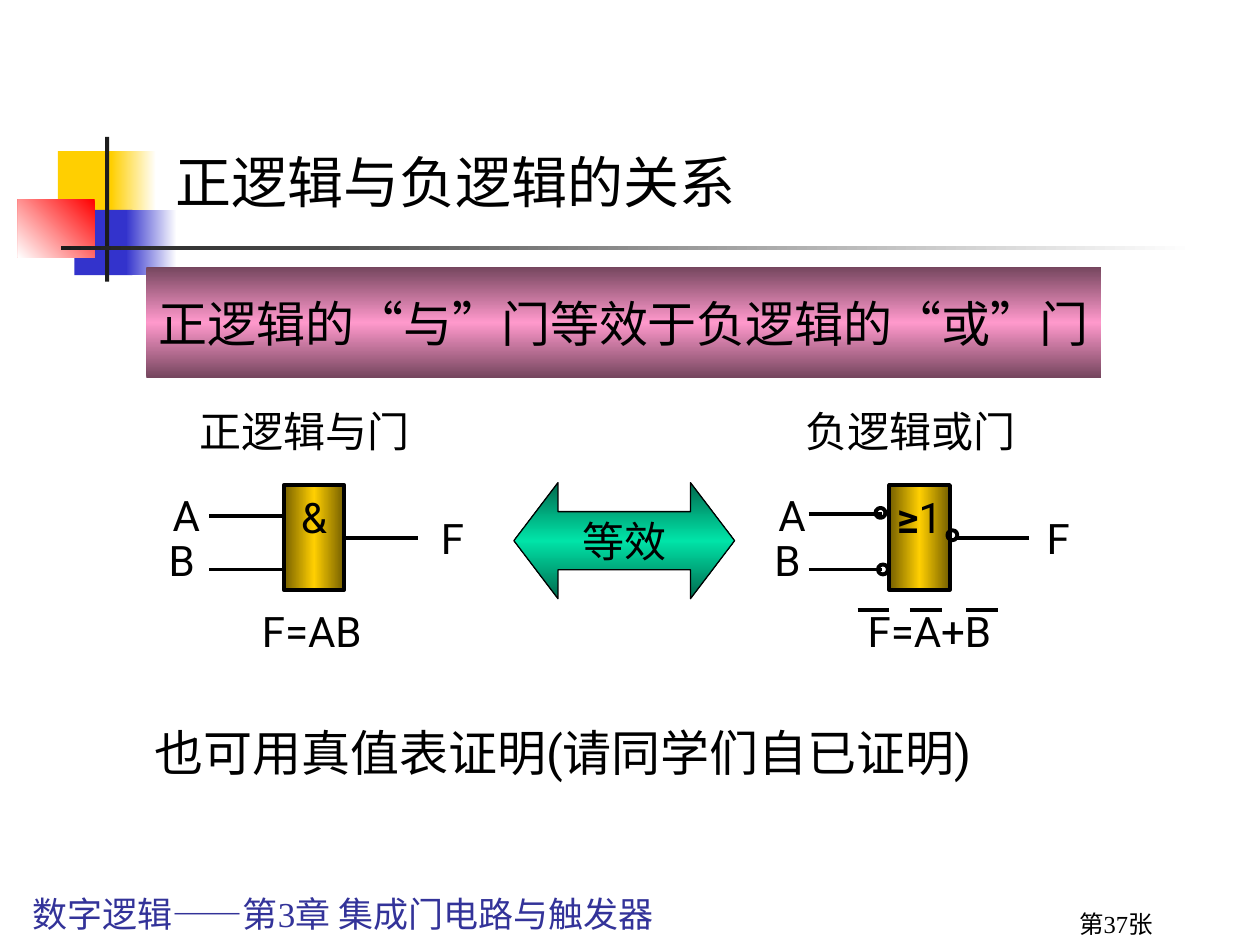
"""Build the slide on how positive and negative logic relate."""
from copy import deepcopy
from pptx import Presentation
from pptx import util as u
from pptx.dml.color import RGBColor
from pptx.enum import shapes as sh, text as tx
from pptx.oxml.ns import qn
from lxml import etree

HUE = {"black": "000000", "white": "FFFFFF", "gold": "FFCF01", "blue": "3333CC",
       "red": "FF0000", "ink": "1C1C1C", "plum": "75465E", "pink": "FF99CC",
       "brown": "755F00", "pine": "00694D", "mint": "00E4A8", "navy": "333399"}
SANS, SERIF = "Roboto", "Times New Roman"
LEFT, MID, RIGHT = tx.PP_ALIGN.LEFT, tx.PP_ALIGN.CENTER, tx.PP_ALIGN.RIGHT
RECT, OVAL = sh.MSO_SHAPE.RECTANGLE, sh.MSO_SHAPE.OVAL

DECOR = [
    ((1.17, 3.05, 1.22, 1.32), ["gold"], 0),
    ((2.24, 3.05, 0.91, 1.32), ["white", "gold"], 180),
    ((1.5, 4.23, 1.17, 1.32), ["blue"], 0),
    ((2.54, 4.23, 1.02, 1.32), ["white", "blue"], 180),
    ((0.36, 4.02, 1.55, 1.17), ["red", "white"], 135),
    ((2.12, 2.76, 0.08, 2.92), ["ink"], 0),
    ((1.23, 4.95, 22.86, 0.09), ["white", "ink"], 180),
]
NOTES = [
    ("正逻辑与负逻辑的关系", (3.28, 2.84, 21.59, 2.01), 32, SANS, "black", LEFT),
    ("也可用真值表证明(请同学们自已证明)", (2.87, 14.43, 17.65, 1.45), 28, SANS, "black", LEFT),
    ("第37张", (18.21, 18.2, 5.28, 0.84), 14, SERIF, "black", RIGHT),
    ("数字逻辑——第3章 集成门电路与触发器", (0.1, 17.86, 13.64, 1.12), 20, SERIF, "navy", MID),
]
BANNER = ("正逻辑的“与”门等效于负逻辑的“或”门", (2.95, 5.38, 19.25, 2.24))
ARROW = ("等效", (10.36, 9.73, 4.45, 2.34))

TOP, WIDE, TALL, ROW = 9.78, 1.22, 2.11, 1.27
NAME, RULE = 5.3, 3.3
PINS = [("A", -2.49, 9.73), ("B", -2.57, 10.64), ("F", 2.92, 10.21)]
PIN = 1.1
GATES = [
    {"x": 5.72, "name": "正逻辑与门", "sign": [("&", False)], "rule": "F=AB",
     "wires": [(-1.5, 10.41), (-1.5, 11.48), (1.22, 10.85)], "dots": [], "bars": []},
    {"x": 17.93, "name": "负逻辑或门", "sign": [("≥", True), ("1", False)], "rule": "F=A+B",
     "wires": [(-1.63, 10.36), (-1.63, 11.48), (1.32, 10.85)],
     "dots": [(-0.28, 10.24), (-0.23, 11.38), (1.17, 10.69)],
     "bars": [-0.64, 0.41, 1.55]},
]
WIRE, DOT, BAR, BAR_Y = 1.49, 0.2, 0.64, 12.29


def rgb(hue):
    return RGBColor.from_string(HUE[hue])


def paint(fill, node, hues, turn):
    if not hues:
        fill.background()
    elif len(hues) == 1:
        fill.solid()
        fill.fore_color.rgb = rgb(hues[0])
    else:
        fill.gradient()
        fill.gradient_angle = (360 - turn) % 360
        stops = node.find(".//" + qn("a:gsLst"))
        for _ in hues[2:]:
            stops.append(deepcopy(stops[0]))
        for i, (stop, hue) in enumerate(zip(fill.gradient_stops, hues)):
            stop.position = i / (len(hues) - 1)
            stop.color.rgb = rgb(hue)


def block(host, kind, box, hues, turn=0, edge=0):
    item = host.add_shape(kind, *map(u.Cm, box))
    item.shadow.inherit = False
    paint(item.fill, item._element.spPr, hues, turn)
    if edge:
        item.line.color.rgb = rgb("black")
        item.line.width = u.Pt(edge)
    else:
        item.line.fill.background()
    return item


def write(item, parts, size=24, font=SANS, hue="black", align=LEFT,
          wrap=False, pad=0.13, anchor=tx.MSO_ANCHOR.TOP):
    frame = item.text_frame
    frame.word_wrap = wrap
    frame.vertical_anchor = anchor
    frame.margin_left = frame.margin_right = u.Cm(0.25)
    frame.margin_top = frame.margin_bottom = u.Cm(pad)
    para = frame.paragraphs[0]
    para.alignment = align
    for words, bold in parts:
        run = para.add_run()
        run.text = words
        run.font.size = u.Pt(size)
        run.font.name = font
        run.font.bold = bold
        run.font.color.rgb = rgb(hue)


def label(host, words, box, *style, **more):
    write(host.add_textbox(*map(u.Cm, box)), [(words, False)], *style, **more)


def wire(host, x, y, size):
    ends = map(u.Cm, (x, y, x + size, y))
    item = host.add_connector(sh.MSO_CONNECTOR.STRAIGHT, *ends)
    item.line.color.rgb = rgb("black")
    item.line.width = u.Pt(2.25)
    etree.SubElement(item._element.spPr, qn("a:effectLst"))


def gate(host, data):
    x = data["x"]
    body = block(host, RECT, (x, TOP, WIDE, TALL), ["brown", "gold", "brown"], 180, 2.25)
    write(body, data["sign"], align=MID)
    label(host, data["name"], (x - 1.94, 8.05, NAME, ROW))
    label(host, data["rule"], (x - 0.69, 12.07, RULE, ROW))
    for words, dx, y in PINS:
        label(host, words, (x + dx, y, PIN, ROW))
    for dx, y in data["wires"]:
        wire(host, x + dx, y, WIRE)
    for dx, y in data["dots"]:
        block(host, OVAL, (x + dx, y, DOT, DOT), [], edge=2.25)
    for dx in data["bars"]:
        wire(host, x + dx, BAR_Y, BAR)


def main():
    deck = Presentation()
    deck.slide_width, deck.slide_height = u.Cm(25.4), u.Cm(19.05)
    page = deck.slides.add_slide(deck.slide_layouts[6]).shapes
    for box, hues, turn in DECOR:
        block(page, RECT, box, hues, turn)
    words, box = BANNER
    banner = block(page, RECT, box, ["plum", "pink", "plum"], 90)
    write(banner, [(words, False)], 28, pad=0.53)
    for data in GATES:
        gate(page.add_group_shape().shapes, data)
    words, box = ARROW
    arrow = block(page, sh.MSO_SHAPE.LEFT_RIGHT_ARROW, box, ["pine", "mint", "pine"], 90, 0.75)
    arrow.adjustments[0], arrow.adjustments[1] = 0.5, 0.38
    write(arrow, [(words, False)], align=MID, anchor=tx.MSO_ANCHOR.MIDDLE)
    for words, box, *style in NOTES:
        label(page, words, box, *style, wrap=True)
    deck.save("out.pptx")


if __name__ == "__main__":
    main()
